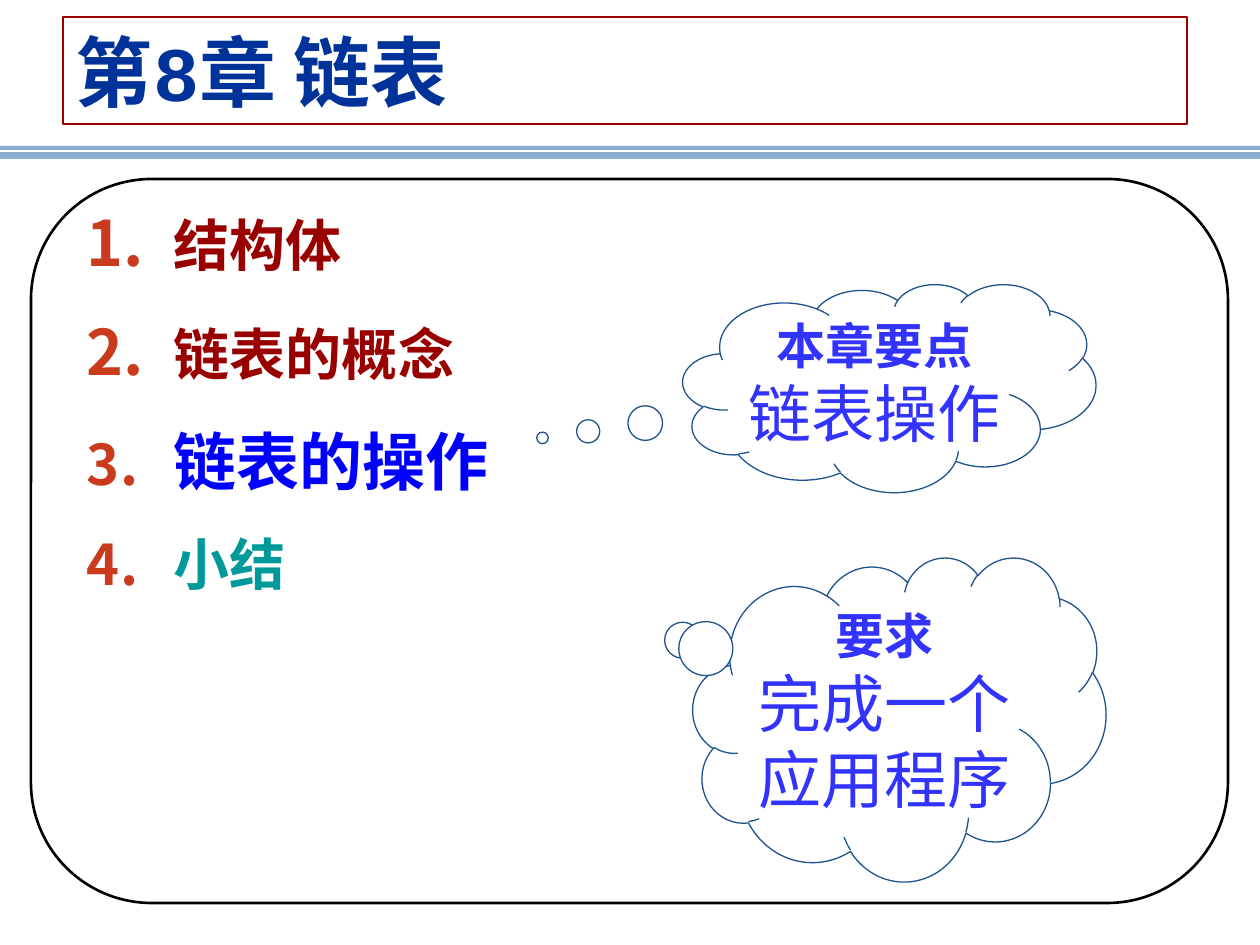
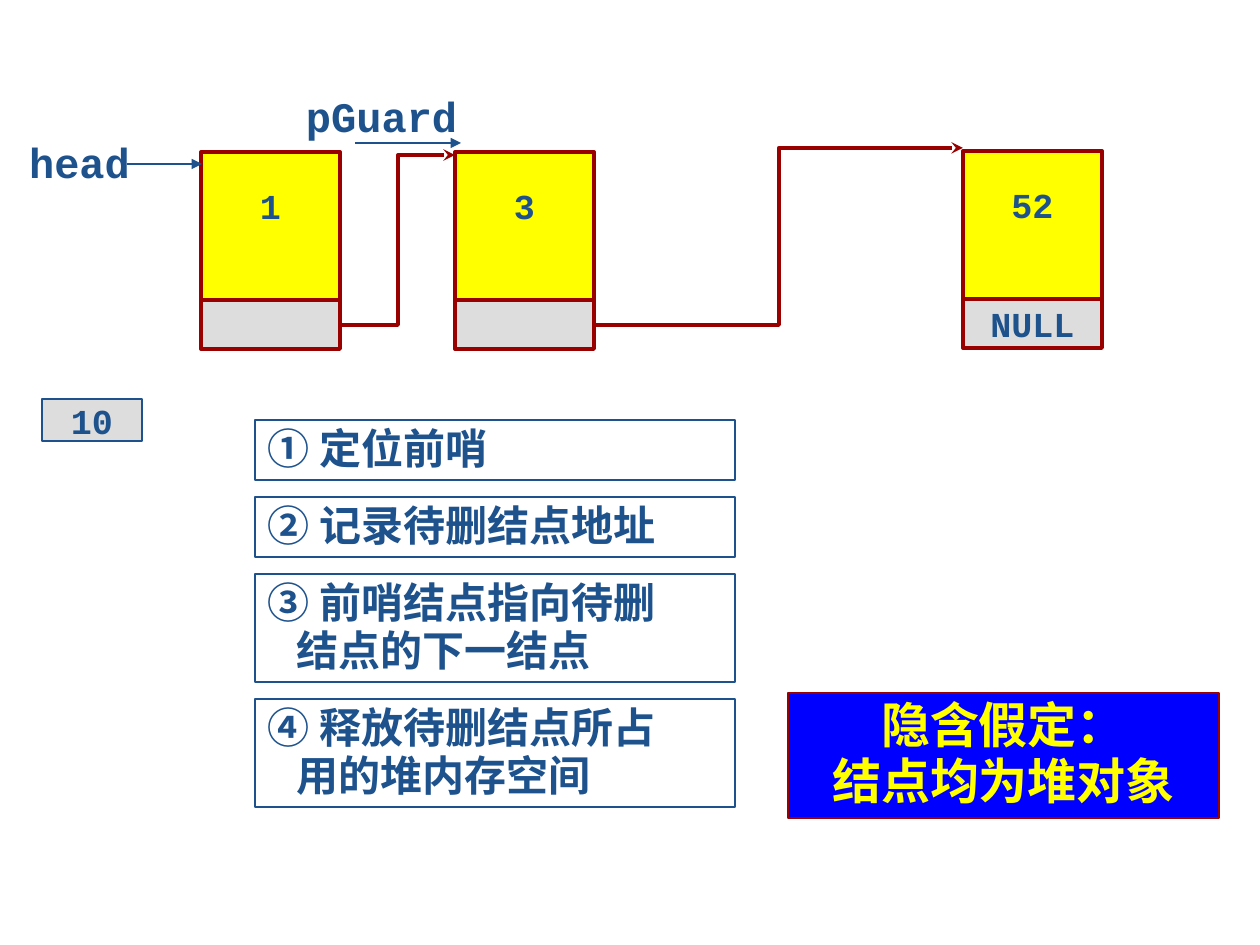
from lxml.etree import SubElement
from pptx import Presentation
from pptx.dml.color import RGBColor
from pptx.enum.shapes import MSO_CONNECTOR, MSO_SHAPE
from pptx.enum.text import MSO_ANCHOR, PP_ALIGN
from pptx.oxml.ns import qn
from pptx.util import Pt

EMU_PER_PX = 914400 / 126

WHITE = RGBColor(0xFF, 0xFF, 0xFF)
BLACK = RGBColor(0x00, 0x00, 0x00)
MAROON = RGBColor(0x99, 0x00, 0x00)
NAVY = RGBColor(0x00, 0x33, 0x99)
BLUE = RGBColor(0x00, 0x00, 0xFF)
TEAL = RGBColor(0x00, 0x99, 0x99)
STEEL = RGBColor(0x1D, 0x52, 0x8D)
BAND = RGBColor(0x8A, 0xAE, 0xCE)
VIOLET = RGBColor(0x33, 0x33, 0xFF)
YELLOW = RGBColor(0xFF, 0xFF, 0x00)
GREY = RGBColor(0xDD, 0xDD, 0xDD)
NUMBER_RED = "CA3B1E"

CODE_FONT = "Courier New"
CLOUD_FONT = "Arial"


def px(length):
    return round(length * EMU_PER_PX)


def add_box(slide, area, fill=None, line=None, weight=0.75, kind=MSO_SHAPE.RECTANGLE):
    box = slide.shapes.add_shape(kind, *map(px, area))
    box.shadow.inherit = False
    if fill is None:
        box.fill.background()
    else:
        box.fill.solid()
        box.fill.fore_color.rgb = fill
    if line is None:
        box.line.fill.background()
    else:
        box.line.color.rgb = line
        box.line.width = Pt(weight)
    return box


def add_line(slide, start, end, color, weight=0.75, head=None, kind=MSO_CONNECTOR.STRAIGHT):
    link = slide.shapes.add_connector(kind, *map(px, start + end))
    link.line.color.rgb = color
    link.line.width = Pt(weight)
    if head:
        SubElement(link.line._get_or_add_ln(), qn("a:tailEnd"), type=head)
    SubElement(link._element.spPr, qn("a:effectLst"))
    return link


def set_insets(frame, left, top, right, bottom):
    frame.margin_left, frame.margin_top = px(left), px(top)
    frame.margin_right, frame.margin_bottom = px(right), px(bottom)


def style_paragraph(paragraph, size, color, font=CODE_FONT, bold=True):
    for run in paragraph.runs:
        run.font.name = font
        run.font.size = Pt(size)
        run.font.bold = bold
        run.font.color.rgb = color


def write(shape, text, size, color, align=PP_ALIGN.CENTER, anchor=MSO_ANCHOR.MIDDLE,
          wrap=True, spacing=None, insets=(13, 6, 13, 6)):
    frame = shape.text_frame
    frame.text = text
    frame.word_wrap = wrap
    frame.vertical_anchor = anchor
    set_insets(frame, *insets)
    for paragraph in frame.paragraphs:
        paragraph.alignment = align
        paragraph.line_spacing = spacing
        style_paragraph(paragraph, size, color)


def hang(paragraph, indent):
    properties = paragraph._p.get_or_add_pPr()
    properties.set("marL", str(px(indent)))
    properties.set("indent", str(-px(indent)))
    return properties


def add_title(slide, text):
    title = add_box(slide, (63, 17, 1124, 107), line=MAROON, weight=1)
    write(title, text, 44, NAVY, align=PP_ALIGN.LEFT)


def add_chapter_frame(slide):
    add_box(slide, (31, 179, 1197, 724), line=BLACK, weight=1.5,
            kind=MSO_SHAPE.FLOWCHART_ALTERNATE_PROCESS)
    add_box(slide, (0, 146, 1260, 13), fill=BAND)
    add_line(slide, (0, 151), (1260, 151), WHITE)


def add_contents(slide, area, topics):
    contents = slide.shapes.add_textbox(*map(px, area)).text_frame
    contents.text = "\n".join(topic for topic, *_ in topics)
    contents.word_wrap = True
    set_insets(contents, 3, 15, 13, 6)
    for paragraph, (_, size, color, number_size, space) in zip(contents.paragraphs, topics):
        paragraph.line_spacing = 1.25
        paragraph.space_before = Pt(space)
        style_paragraph(paragraph, size, color)
        properties = hang(paragraph, 87)
        number_color = SubElement(properties, qn("a:buClr"))
        SubElement(number_color, qn("a:srgbClr"), val=NUMBER_RED)
        SubElement(properties, qn("a:buSzPct"), val=str(round(number_size / size * 100) * 1000))
        SubElement(properties, qn("a:buAutoNum"), type="arabicPeriod")


def add_cloud(slide, area, tail, heading, message):
    cloud = add_box(slide, area, WHITE, STEEL, kind=MSO_SHAPE.CLOUD_CALLOUT)
    cloud.adjustments[0], cloud.adjustments[1] = tail
    write(cloud, f"{heading}\n{message}", 28, VIOLET, anchor=MSO_ANCHOR.TOP, insets=(0, 0, 0, 0))
    top, bottom = cloud.text_frame.paragraphs
    style_paragraph(top, 28, VIOLET, CLOUD_FONT)
    style_paragraph(bottom, 36, VIOLET, CLOUD_FONT, bold=False)


def add_node(slide, left, top, value, link_text=""):
    data = add_box(slide, (left, top, 139, 148), YELLOW, MAROON, 2.25)
    write(data, value, 20, STEEL, wrap=False, insets=(13, 6, 13, 48))
    link = add_box(slide, (left, top + 148, 139, 49), GREY, MAROON, 2.25)
    if link_text:
        write(link, link_text, 20, STEEL, wrap=False)


def add_pointer(slide, name, area, start, end):
    add_line(slide, start, end, STEEL, head="triangle")
    label = slide.shapes.add_textbox(*map(px, area))
    write(label, name, 24, STEEL, wrap=False, insets=(0, 6, 0, 6))


def add_next_link(slide, start, end):
    add_line(slide, start, end, MAROON, 2.25, "stealth", MSO_CONNECTOR.ELBOW)


def add_steps(slide, left, top, width, gap, steps):
    for step in steps:
        height = 60 + 48 * step.count("\v")
        box = add_box(slide, (left, top, width, height), WHITE, STEEL)
        write(box, step, 24, STEEL, align=PP_ALIGN.LEFT, anchor=MSO_ANCHOR.TOP, spacing=0.95)
        hang(box.text_frame.paragraphs[0], 29)
        top += height + gap


def build_chapter_slide(slide):
    add_chapter_frame(slide)
    add_title(slide, "第8章 链表")
    add_contents(slide, (84, 179, 1176, 724), [
        ("结构体", 32, MAROON, 36, 8),
        ("链表的概念", 32, MAROON, 36, 14),
        ("链表的操作", 36, BLUE, 32, 10),
        ("小结", 32, TEAL, 32, 8),
    ])
    add_cloud(slide, (683, 284, 413, 208), (-0.84, 0.24), "本章要点", "链表操作")
    add_cloud(slide, (693, 557, 413, 324), (-0.54, -0.25), "要求", "完成一个应用程序")


def build_deletion_slide(slide):
    add_next_link(slide, (341, 325), (455, 155))
    add_node(slide, 201, 152, "1")
    add_node(slide, 455, 152, "3")
    add_node(slide, 963, 151, "52", "NULL")
    add_next_link(slide, (595, 325), (963, 148))
    add_pointer(slide, "head", (17, 139, 125, 45), (127, 164), (202, 164))
    add_pointer(slide, "pGuard", (296, 93, 171, 45), (355, 143), (461, 143))
    deleted = add_box(slide, (42, 399, 100, 42), GREY, STEEL)
    write(deleted, "10", 20, STEEL, wrap=False)
    add_steps(slide, 255, 420, 480, 17, [
        "① 定位前哨",
        "② 记录待删结点地址",
        "③ 前哨结点指向待删\v结点的下一结点",
        "④ 释放待删结点所占\v用的堆内存空间",
    ])
    assumption = add_box(slide, (788, 693, 431, 125), BLUE, MAROON)
    write(assumption, "隐含假定：\n结点均为堆对象", 28, YELLOW, anchor=MSO_ANCHOR.TOP, spacing=0.95)


def main():
    deck = Presentation()
    deck.slide_width, deck.slide_height = px(1260), px(945)
    for build in (build_chapter_slide, build_deletion_slide):
        build(deck.slides.add_slide(deck.slide_layouts[6]))
    deck.save("out.pptx")


if __name__ == "__main__":
    main()
